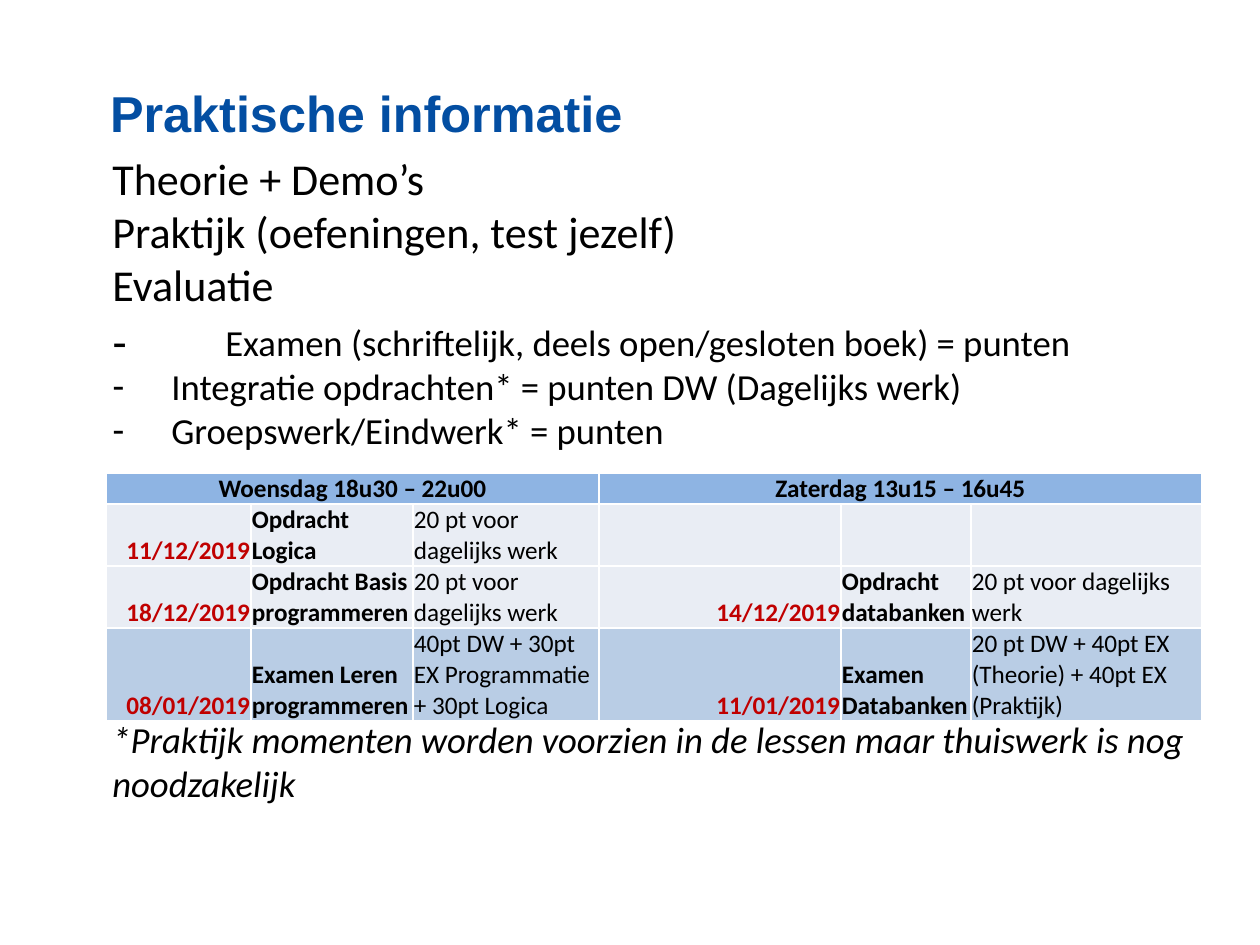
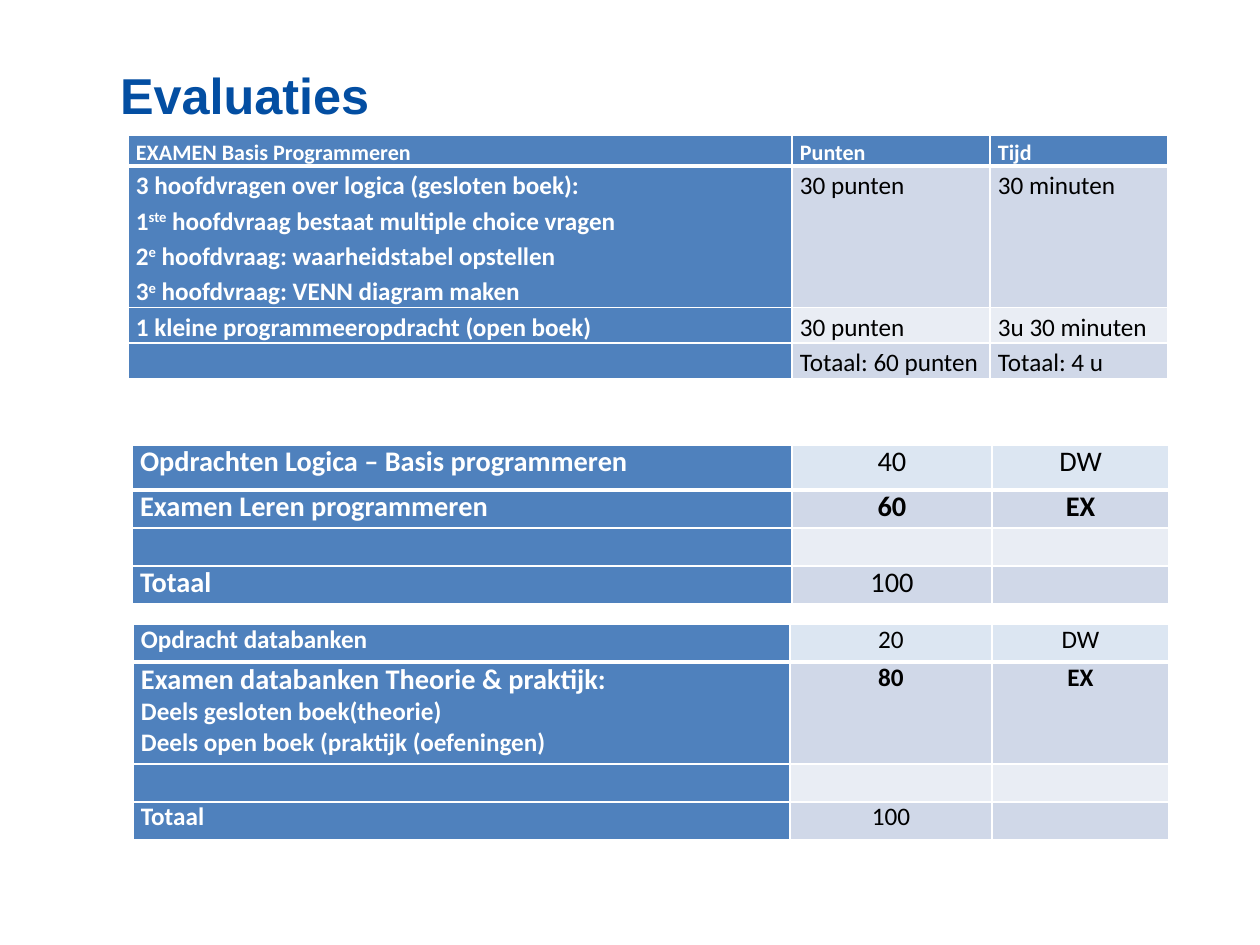
from pptx import Presentation
from pptx.dml.color import RGBColor
from pptx.enum.text import MSO_ANCHOR, MSO_AUTO_SIZE, PP_ALIGN
from pptx.oxml.ns import qn
from pptx.util import Emu, Pt
from lxml.etree import SubElement

TITLE_BLUE, HEADER_BLUE = "034EA2", "4F81BD"
BLACK, WHITE, DATE_RED = "000000", "FFFFFF", "C00000"
DAY_BLUE, EXAM_BLUE, TASK_BLUE = "8EB4E3", "B9CDE5", "DCE6F2"
BAND_DARK, BAND_LIGHT = "D0D8E8", "E9EDF4"
SCORE_FILLS = [TASK_BLUE, BAND_DARK, BAND_LIGHT, BAND_DARK]


def px(length):
    """Turn whole pixels into EMU."""
    return Emu(round(length * 914400 / 113.4))


def rgb(value):
    """Turn a hex string into a colour."""
    return RGBColor.from_string(value)


def place(shape, left, top, width, height):
    """Move and size a shape, in pixels."""
    shape.left, shape.top = px(left), px(top)
    shape.width, shape.height = px(width), px(height)


def format_run(run, size, color, bold=False, italic=False, font="Calibri"):
    """Give a run its font, size, colour and weight."""
    run.font.name, run.font.size = font, Pt(size)
    run.font.bold, run.font.italic = bold, italic
    run.font.color.rgb = rgb(color)


def set_title(slide, text, left, top):
    """Fill the title placeholder in the shared title style."""
    title = slide.shapes.title
    place(title, left, top, 1077, 57)
    frame = title.text_frame
    frame.text = text
    frame.auto_size = MSO_AUTO_SIZE.NONE
    frame.vertical_anchor = MSO_ANCHOR.TOP
    frame.margin_left = frame.margin_right = frame.margin_top = frame.margin_bottom = 0
    paragraph = frame.paragraphs[0]
    paragraph.alignment = PP_ALIGN.LEFT
    paragraph.line_spacing = 1.1
    format_run(paragraph.runs[0], 32, TITLE_BLUE, True, font="Arial")


def set_bullet(paragraph, hanging, bullet_percent):
    """Set the indent, with a dash when the paragraph hangs."""
    properties = paragraph._p.get_or_add_pPr()
    properties.set("marL", str(px(48 + hanging)))
    properties.set("indent", str(px(-hanging)))
    if hanging:
        SubElement(properties, qn("a:buSzPct")).set("val", str(bullet_percent * 1000))
        SubElement(properties, qn("a:buChar")).set("char", "-")
    else:
        SubElement(properties, qn("a:buNone"))


def add_body_line(frame, text, size, hanging=0, bullet_percent=100, before=0, italic=False):
    """Write one paragraph of the body placeholder."""
    paragraph = frame.paragraphs[0] if not frame.text else frame.add_paragraph()
    paragraph.text = text
    paragraph.space_before = Pt(before)
    set_bullet(paragraph, hanging, bullet_percent)
    format_run(paragraph.runs[0], size, BLACK, italic=italic)


def style_cell(cell, fill, inset, bottom_width=1):
    """Give a cell its white borders, fill and margins."""
    properties = cell._tc.get_or_add_tcPr()
    for side in ("L", "R", "T", "B"):
        width = bottom_width if side == "B" else 1
        line = SubElement(properties, qn(f"a:ln{side}"), w=str(Pt(width)))
        solid = SubElement(line, qn("a:solidFill"))
        SubElement(solid, qn("a:srgbClr")).set("val", WHITE)
    cell.fill.solid()
    cell.fill.fore_color.rgb = rgb(fill)
    cell.margin_left = cell.margin_right = px(inset)
    cell.margin_top = cell.margin_bottom = 0


def write_cell(cell, text, size, color, bold=False, align=PP_ALIGN.LEFT, spacing=1.0):
    """Write the lines of a cell; text between carets is superscript."""
    cell.text_frame.text = text.replace("^", "")
    for paragraph, line in zip(cell.text_frame.paragraphs, text.split("\n")):
        paragraph.alignment = align
        paragraph.line_spacing = spacing
        paragraph.text = ""
        for index, part in enumerate(line.split("^")):
            if part:
                run = paragraph.add_run()
                run.text = part
                format_run(run, size, color, bold)
                if index % 2:
                    run.font._element.set("baseline", "30000")


def add_grid(slide, left, top, widths, heights):
    """Add a plain table with the given columns and rows."""
    frame = slide.shapes.add_table(len(heights), len(widths), px(left), px(top),
                                   px(sum(widths)), px(sum(heights)))
    table = frame.table
    table.first_row = table.horz_banding = False
    for column, width in zip(table.columns, widths):
        column.width = px(width)
    for row, height in zip(table.rows, heights):
        row.height = px(height)
    return table


def add_schedule(slide, days, rows, fills):
    """Add the table of dates, tasks and points for each course day."""
    table = add_grid(slide, 106, 473, [145, 162, 186, 242, 130, 231], [31, 62, 62, 93])
    column_styles = [(DATE_RED, True, PP_ALIGN.RIGHT), (BLACK, True, PP_ALIGN.LEFT),
                     (BLACK, False, PP_ALIGN.LEFT)]
    for row_index, fill in enumerate([DAY_BLUE] + fills):
        for cell in table.rows[row_index].cells:
            style_cell(cell, fill, 1)
            cell.vertical_anchor = MSO_ANCHOR.BOTTOM
    for index, day in enumerate(days):
        first = table.cell(0, index * 3)
        first.merge(table.cell(0, index * 3 + 2))
        write_cell(first, day, 16, BLACK, True, PP_ALIGN.CENTER)
    for row_index, texts in enumerate(rows, 1):
        for column, text in enumerate(texts):
            if text:
                color, bold, align = column_styles[column % 3]
                write_cell(table.cell(row_index, column), text, 16, color, bold, align)


def add_evaluation(slide, left, top, widths, heights, rows, fills, size,
                   bold_row=None, align=PP_ALIGN.CENTER, spacing=1.0):
    """Add a table with a blue label column and two value columns."""
    table = add_grid(slide, left, top, widths, heights)
    for row_index, (texts, fill) in enumerate(zip(rows, fills)):
        for column, text in enumerate(texts):
            cell = table.cell(row_index, column)
            label = column == 0
            style_cell(cell, HEADER_BLUE if label else fill, 8, 1 if row_index else 3)
            white = label or fill == HEADER_BLUE
            if text:
                write_cell(cell, text, size, WHITE if white else BLACK,
                           white or row_index == bold_row,
                           PP_ALIGN.LEFT if label else align, spacing)
    return table


def resize_text(paragraphs, size):
    """Change the text size of some paragraphs."""
    for paragraph in paragraphs:
        for run in paragraph.runs:
            run.font.size = Pt(size)


def build_practical_slide(presentation):
    """Build the slide with practical information."""
    slide = presentation.slides.add_slide(presentation.slide_layouts[1])
    set_title(slide, "Praktische informatie", 110, 76)
    body = slide.placeholders[1]
    place(body, 53, 146, 1153, 723)
    frame = body.text_frame
    frame.auto_size = MSO_AUTO_SIZE.NONE
    for text in ("Theorie + Demo’s", "Praktijk (oefeningen, test jezelf)", "Evaluatie"):
        add_body_line(frame, text, 28)
    add_body_line(frame, "Examen (schriftelijk, deels open/gesloten boek) = punten", 23.3,
                  hanging=113, bullet_percent=120, before=6)
    for text in ("Integratie opdrachten* = punten DW (Dagelijks werk)",
                 "Groepswerk/Eindwerk* = punten"):
        add_body_line(frame, text, 23.3, hanging=59)
    add_body_line(frame, "*Praktijk momenten worden voorzien in de lessen maar thuiswerk "
                  "is nog noodzakelijk", 23.3, before=168, italic=True)
    daily = "20 pt voor dagelijks werk"
    add_schedule(slide, ["Woensdag 18u30 – 22u00", "Zaterdag 13u15 – 16u45"], [
        ["11/12/2019", "Opdracht Logica", daily, "", "", ""],
        ["18/12/2019", "Opdracht Basis programmeren", daily,
         "14/12/2019", "Opdracht databanken", daily],
        ["08/01/2019", "Examen Leren programmeren",
         "40pt DW + 30pt EX Programmatie + 30pt Logica",
         "11/01/2019", "Examen Databanken",
         "20 pt DW + 40pt EX (Theorie) + 40pt EX (Praktijk)"],
    ], [BAND_LIGHT, BAND_LIGHT, EXAM_BLUE])


def build_evaluation_slide(presentation):
    """Build the slide with the three evaluation tables."""
    slide = presentation.slides.add_slide(presentation.slide_layouts[5])
    set_title(slide, "Evaluaties", 120, 58)
    questions = "\n".join([
        "3 hoofdvragen over logica (gesloten boek):",
        "1^ste^ hoofdvraag bestaat multiple choice vragen",
        "2^e^ hoofdvraag: waarheidstabel opstellen",
        "3^e^ hoofdvraag: VENN diagram maken"])
    exam = add_evaluation(slide, 128, 135, [664, 198, 178], [31, 141, 35, 35], [
        ["EXAMEN Basis Programmeren", "Punten", "Tijd"],
        [questions, "30 punten", "30 minuten"],
        ["1 kleine programmeeropdracht (open boek)", "30 punten", "3u 30 minuten"],
        ["", "Totaal: 60 punten", "Totaal: 4 u"],
    ], [HEADER_BLUE] + SCORE_FILLS[1:], 16, align=PP_ALIGN.LEFT, spacing=1.15)
    for cell in exam.rows[0].cells:
        resize_text(cell.text_frame.paragraphs, 14)
    closing_rows = [["", "", ""], ["Totaal", "100", ""]]
    add_evaluation(slide, 132, 445, [660, 200, 177], [45, 38, 38, 38], [
        ["Opdrachten Logica – Basis programmeren", "40", "DW"],
        ["Examen Leren programmeren", "60", "EX"],
    ] + closing_rows, SCORE_FILLS, 18, bold_row=1)
    database_exam = "\n".join([
        "Examen databanken Theorie & praktijk:",
        "Deels gesloten boek(theorie)",
        "Deels open boek (praktijk (oefeningen)"])
    databases = add_evaluation(slide, 133, 624, [657, 202, 177], [38, 102, 38, 38], [
        ["Opdracht databanken", "20", "DW"],
        [database_exam, "80", "EX"],
    ] + closing_rows, SCORE_FILLS, 16, bold_row=1)
    resize_text(databases.cell(1, 0).text_frame.paragraphs[:1], 18)


def main():
    """Build and save the presentation."""
    presentation = Presentation()
    presentation.slide_width, presentation.slide_height = px(1260), px(945)
    build_practical_slide(presentation)
    build_evaluation_slide(presentation)
    presentation.save("out.pptx")


if __name__ == "__main__":
    main()
